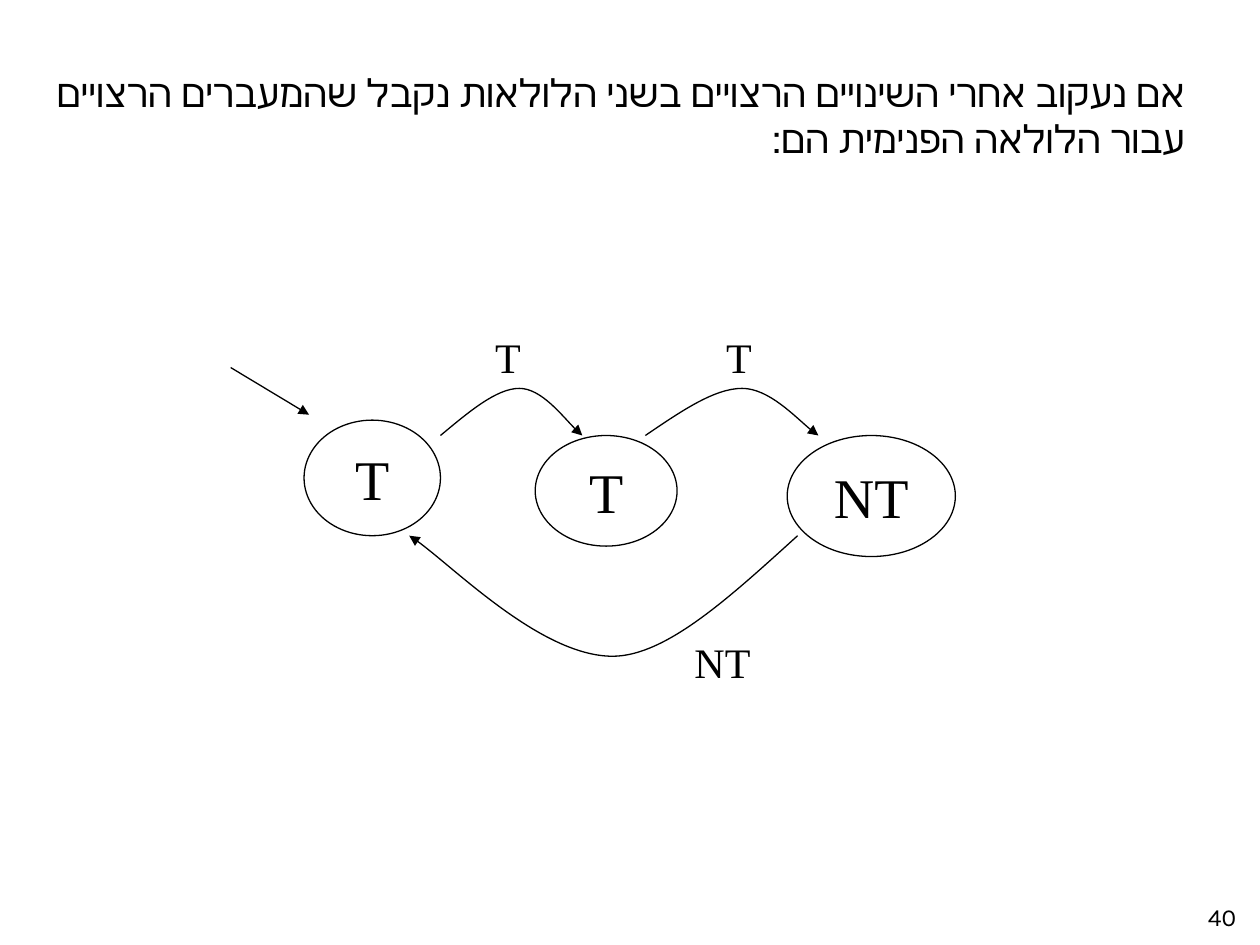
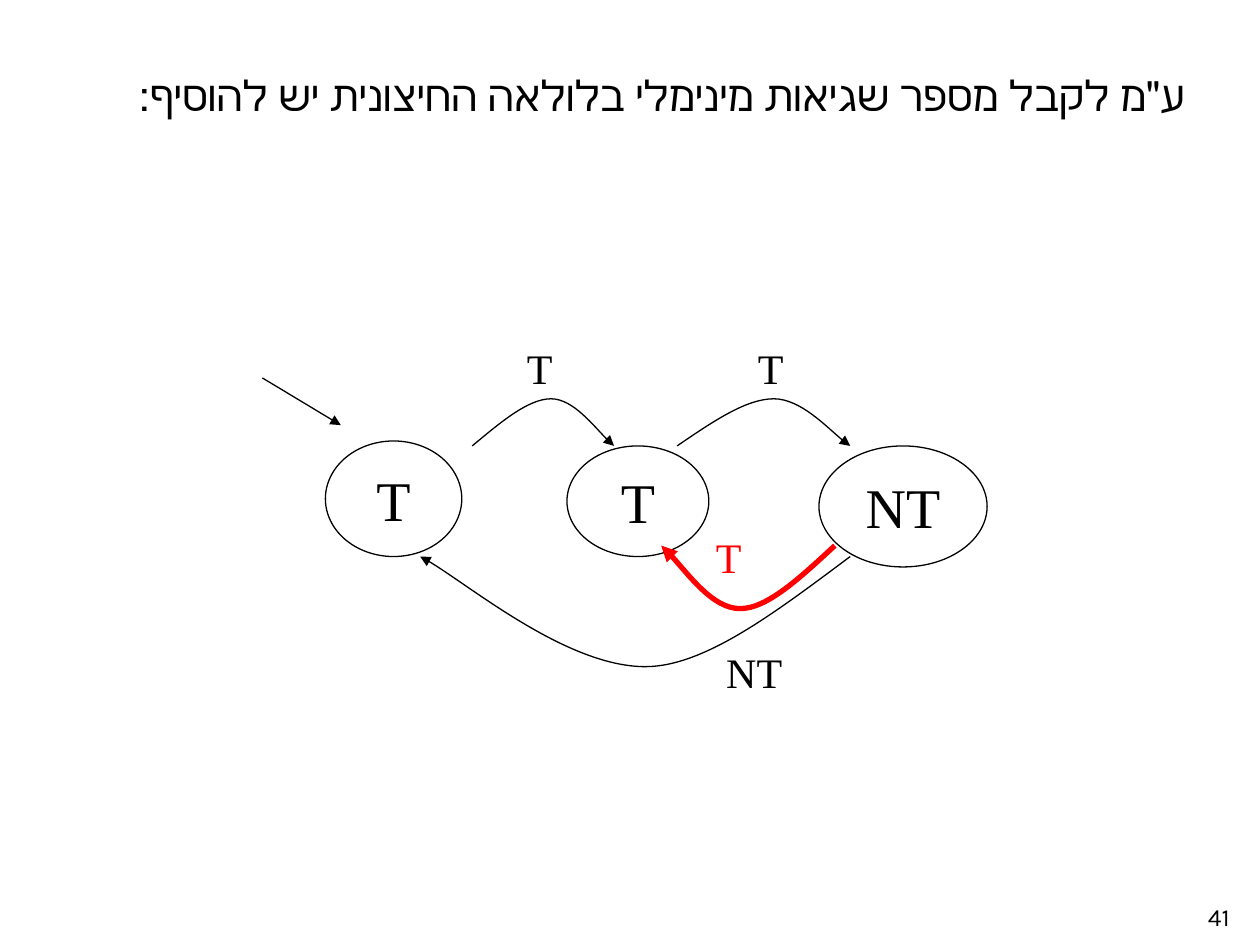
import pptx
import pptx.util
import pptx.dml.color
import pptx.enum.shapes
import pptx.enum.text
import pptx.oxml.ns
import lxml.etree

Cm = pptx.util.Cm
Pt = pptx.util.Pt
qn = pptx.oxml.ns.qn
Align = pptx.enum.text.PP_ALIGN
Anchor = pptx.enum.text.MSO_ANCHOR

HUES = {"ink": "000000", "paper": "FFFFFF", "new": "FF0000"}
SANS, SERIF = "Karla", "Times New Roman"
HEAD = (0.64, 1.27, 23.5, 4.65)
PAGE = (24.1, 18.05, 1.27, 0.86)


def hue(name):
    return pptx.dml.color.RGBColor.from_string(HUES[name])


def write(frame, text, size, font=SERIF, ink="ink", align=Align.LEFT,
          anchor=Anchor.TOP, wrap=False, rtl=False):
    """Fill a text frame with one formatted paragraph."""
    frame.word_wrap = wrap
    frame.auto_size = pptx.enum.text.MSO_AUTO_SIZE.NONE
    frame.vertical_anchor = anchor
    para = frame.paragraphs[0]
    para.alignment = align
    if rtl:
        para._p.get_or_add_pPr().set("rtl", "1")
    run = para.add_run()
    run.text = text
    run.font.size = Pt(size)
    run.font.name = font
    run.font.color.rgb = hue(ink)


def label(slide, box, text, size=24, **form):
    note = slide.shapes.add_textbox(*map(Cm, box))
    write(note.text_frame, text, size, **form)


def stroke(line, ink="ink", width=0.75, arrow=False):
    line.color.rgb = hue(ink)
    line.width = Pt(width)
    if arrow:
        tail = lxml.etree.SubElement(line._get_or_add_ln(), qn("a:tailEnd"))
        tail.set("type", "triangle")


def state(slide, box, text):
    oval = slide.shapes.add_shape(pptx.enum.shapes.MSO_SHAPE.OVAL, *map(Cm, box))
    oval.fill.solid()
    oval.fill.fore_color.rgb = hue("paper")
    stroke(oval.line)
    oval.shadow.inherit = False
    write(oval.text_frame, text, 32, align=Align.CENTER, anchor=Anchor.MIDDLE)


def curve(slide, start, peak, end, **pen):
    """Draw an arrow that swings from start over peak to end."""
    knots = [tuple(map(Cm, knot)) for knot in (start, peak, end)]
    build = slide.shapes.build_freeform(*knots[0])
    build.add_line_segments(knots[1:], close=False)
    arc = build.convert_to_shape()
    arc.fill.background()
    stroke(arc.line, arrow=True, **pen)
    arc.shadow.inherit = False

    # Turn both straight parts into Bezier parts
    left, top = arc.left, arc.top
    bends = [((0.36, 0.5), (0.71, 1)), ((0.35, 0), (0.84, 0.84))]
    parts = list(arc._element.iter(qn("a:lnTo")))
    for part, bend, (x0, y0), (x1, y1) in zip(parts, bends, knots, knots[1:]):
        part.tag = qn("a:cubicBezTo")
        part.clear()
        for fx, fy in bend + ((1, 1),):
            dot = lxml.etree.SubElement(part, qn("a:pt"))
            dot.set("x", str(round(x0 + (x1 - x0) * fx - left)))
            dot.set("y", str(round(y0 + (y1 - y0) * fy - top)))


def entry(slide, start, end):
    kind = pptx.enum.shapes.MSO_CONNECTOR.STRAIGHT
    line = slide.shapes.add_connector(kind, *map(Cm, start + end))
    stroke(line.line, arrow=True)
    lxml.etree.SubElement(line._element.spPr, qn("a:effectLst"))


def frame(deck, text, size, page):
    """Add a slide with its heading and page number."""
    slide = deck.slides.add_slide(deck.slide_layouts[5])
    head = slide.shapes.title
    head.left, head.top, head.width, head.height = map(Cm, HEAD)
    write(head.text_frame, text, size, font=SANS, align=Align.RIGHT,
          wrap=True, rtl=True)
    label(slide, PAGE, page, 14, font=SANS)
    return slide


def graph(slide, left, top, first, back, extra=False):
    """Draw the state graph with its top left corner at left, top."""
    def at(x, y, *size):
        return (left + x, top + y) + size

    # States
    state(slide, at(*first, 2.75, 2.33), "T")
    state(slide, at(6.14, 2.22, 2.86, 2.23), "T")
    state(slide, at(11.22, 2.22, 3.39, 2.44), "NT")

    # Moves between states
    hops = [((4.23, 2.22), (5.82, 1.27), (7.09, 2.22)),
            ((8.36, 2.22), (10.31, 1.27), (11.85, 2.22)), back]
    for hop in hops:
        curve(slide, *(at(*knot) for knot in hop))
    entry(slide, at(0, 0.85), at(1.58, 1.8))

    # Labels of the moves
    for x, y, wide, text in [(5.08, 0, 1.06, "T"), (9.74, 0, 1.06, "T"),
                             (9.1, 6.14, 1.91, "NT")]:
        label(slide, at(x, y, wide, 1.48), text)

    # Added move
    if extra:
        curve(slide, at(11.54, 4.23), at(9.63, 5.5), at(8.04, 4.23),
              ink="new", width=3)
        label(slide, at(8.89, 3.81, 1.91, 1.48), "T", ink="new")


def main():
    deck = pptx.Presentation()
    deck.slide_width, deck.slide_height = Cm(25.4), Cm(19.05)

    # Inner loop
    slide = frame(deck, "אם נעקוב אחרי השינויים הרצויים בשני הלולאות נקבל "
                  "שהמעברים הרצויים עבור הלולאה הפנימית הם:", 22, "40")
    graph(slide, 4.65, 6.56, first=(1.48, 1.91),
          back=((11.43, 4.24), (7.7, 6.67), (3.6, 4.24)))

    # Outer loop
    slide = frame(deck, 'ע"מ לקבל מספר שגיאות מינימלי בלולאה החיצונית יש להוסיף:',
                  24, "41")
    graph(slide, 5.29, 6.77, first=(1.27, 2.12),
          back=((11.85, 4.45), (7.72, 6.67), (3.18, 4.45)), extra=True)

    deck.save("out.pptx")


if __name__ == "__main__":
    main()
